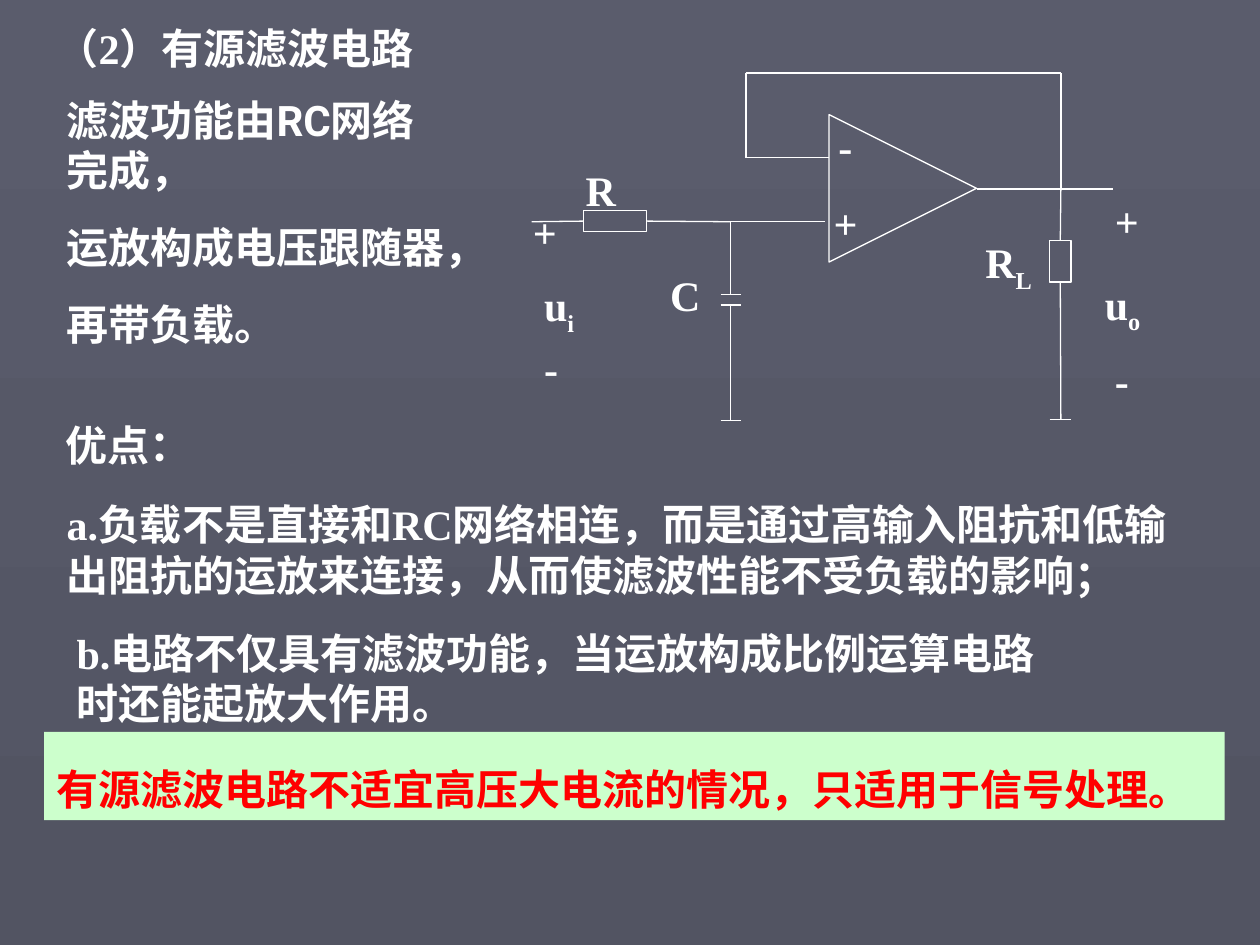
from itertools import pairwise

from lxml import etree
from pptx import Presentation
from pptx.dml.color import RGBColor
from pptx.enum.shapes import MSO_CONNECTOR as Link, MSO_SHAPE as Shape
from pptx.enum.text import MSO_ANCHOR as Anchor, MSO_AUTO_SIZE as Auto, PP_ALIGN as Align
from pptx.oxml.ns import qn
from pptx.util import Inches, Pt

WHITE, RED, GREEN = "FFFFFF", "FF0000", "CCFFCC"
hue = RGBColor.from_string


def write(shape, text, sub="", color=WHITE, font="Times New Roman", align=Align.LEFT,
          before=15, leading=None):
    """Fill a shape with one paragraph per line; sub is a closing subscript."""
    frame = shape.text_frame
    frame.word_wrap = True
    frame.auto_size = Auto.NONE
    frame.vertical_anchor = Anchor.TOP
    for i, line in enumerate(text.split("\n")):
        para = frame.add_paragraph() if i else frame.paragraphs[0]
        para.alignment = align
        para.space_before = Pt(before)
        if leading:
            para.line_spacing = leading
        for part in filter(None, (line, sub)):
            run = para.add_run()
            run.text = part
            run.font.size = Pt(24)
            run.font.bold = True
            run.font.name = font
            run.font.color.rgb = hue(color)
            if part == sub:
                run._r.get_or_add_rPr().set("baseline", "-25000")


def wire(home, *points):
    """Join the points with straight lines and return the lines."""
    lines = []
    for start, end in pairwise(points):
        line = home.add_connector(Link.STRAIGHT, *map(Inches, start + end))
        line.line.color.rgb = hue(WHITE)
        line.line.width = Pt(0.75)
        etree.SubElement(line._element.spPr, qn("a:effectLst"))
        lines.append(line)
    return lines


prs = Presentation()
prs.slide_width, prs.slide_height = Inches(10), Inches(7.5)
slide = prs.slides.add_slide(prs.slide_layouts[5])
shapes = slide.shapes

back = slide.background.fill
back.gradient()
back.gradient_angle = 270
for stop, tone in zip(back.gradient_stops, ("5A5C6C", "525462")):
    stop.color.rgb = hue(tone)

title = shapes.title
title.left, title.top, title.width, title.height = map(Inches, (0.35, 0.13, 5, 0.5))
write(title, "（2）有源滤波电路")

# Circuit: filter network, amplifier and load
rc, amp, load = (shapes.add_group_shape().shapes for _ in range(3))
parts = []
for home, kind, *place in [
    (rc, Shape.RECTANGLE, 4.63, 1.67, 0.5, 0.17),
    (amp, Shape.ISOSCELES_TRIANGLE, 6.58, 0.91, 1.17, 1.17),
    (load, Shape.RECTANGLE, 8.33, 1.91, 0.17, 0.33),
]:
    part = home.add_shape(kind, *map(Inches, place))
    part.shadow.inherit = False
    part.fill.background()
    part.line.color.rgb = hue(WHITE)
    part.line.width = Pt(0.75)
    parts.append(part)
res, tri, ohm = parts
tri.rotation = 90

wire(rc, (4.22, 1.76), (4.63, 1.76))[0].end_connect(res, 1)
wire(rc, (5.13, 1.76), (5.8, 1.76), (6.55, 1.76))[0].begin_connect(res, 3)
wire(rc, (5.8, 1.76), (5.8, 2.34))
wire(rc, (5.8, 2.42), (5.8, 3.34))
for y in (2.34, 2.42, 3.34):
    wire(rc, (5.72, y), (5.88, y))

wire(amp, (6.58, 1.25), (5.92, 1.25), (5.92, 0.58), (8.42, 0.58), (8.42, 1.5))
wire(amp, (7.75, 1.5), (8.83, 1.5))

wire(load, (8.42, 1.5), (8.42, 1.91))[0].end_connect(ohm, 0)
wire(load, (8.42, 2.24), (8.42, 3.33))[0].begin_connect(ohm, 2)
wire(load, (8.33, 3.33), (8.5, 3.33))

mid = {"align": Align.CENTER}
for home, x, y, w, h, text, form in [
    (rc, 4.22, 2.17, 0.75, 0.56, "u", {"sub": "i"}),
    (rc, 4.55, 1.26, 0.5, 0.5, "R", {}),
    (rc, 5.22, 2.09, 0.42, 0.5, "C", {}),
    (rc, 4.13, 1.59, 0.42, 0.5, "+", {}),
    (rc, 4.22, 2.67, 0.58, 0.5, "-", {}),
    (amp, 6.5, 0.91, 0.42, 1.11, "-\n+", mid),
    (load, 8.67, 2.16, 1, 0.56, "u", {"sub": "o"}),
    (load, 8.75, 1.5, 0.42, 1.72, "+\n-", {"before": 62}),
    (load, 7.67, 1.83, 0.67, 0.56, "R", {"sub": "L", **mid}),
    (shapes, 0.43, 0.7, 3.25, 2.12,
     "滤波功能由RC网络完成，\n运放构成电压跟随器，\n再带负载。", {}),
    (shapes, 0.43, 3.91, 9.06, 0.9,
     "a.负载不是直接和RC网络相连，而是通过高输入阻抗和低输出阻抗的运放来连接，"
     "从而使滤波性能不受负载的影响；", {}),
    (shapes, 0.27, 3.28, 1.5, 0.5, "优点：", mid),
    (shapes, 0.51, 4.93, 7.95, 0.9,
     "b.电路不仅具有滤波功能，当运放构成比例运算电路时还能起放大作用。", {}),
]:
    box = home.add_textbox(*map(Inches, (x, y, w, h)))
    write(box, text, **form)
    if text.startswith("滤波"):
        box.text_frame.paragraphs[0].runs[0].font.name = "Roboto"

note = shapes.add_shape(Shape.RECTANGLE, *map(Inches, (0.35, 5.81, 9.37, 0.7)))
note.shadow.inherit = False
note.fill.solid()
note.fill.fore_color.rgb = hue(GREEN)
note.line.fill.background()
write(note, "有源滤波电路不适宜高压大电流的情况，只适用于信号处理。", color=RED, leading=1.5)

prs.save("out.pptx")
